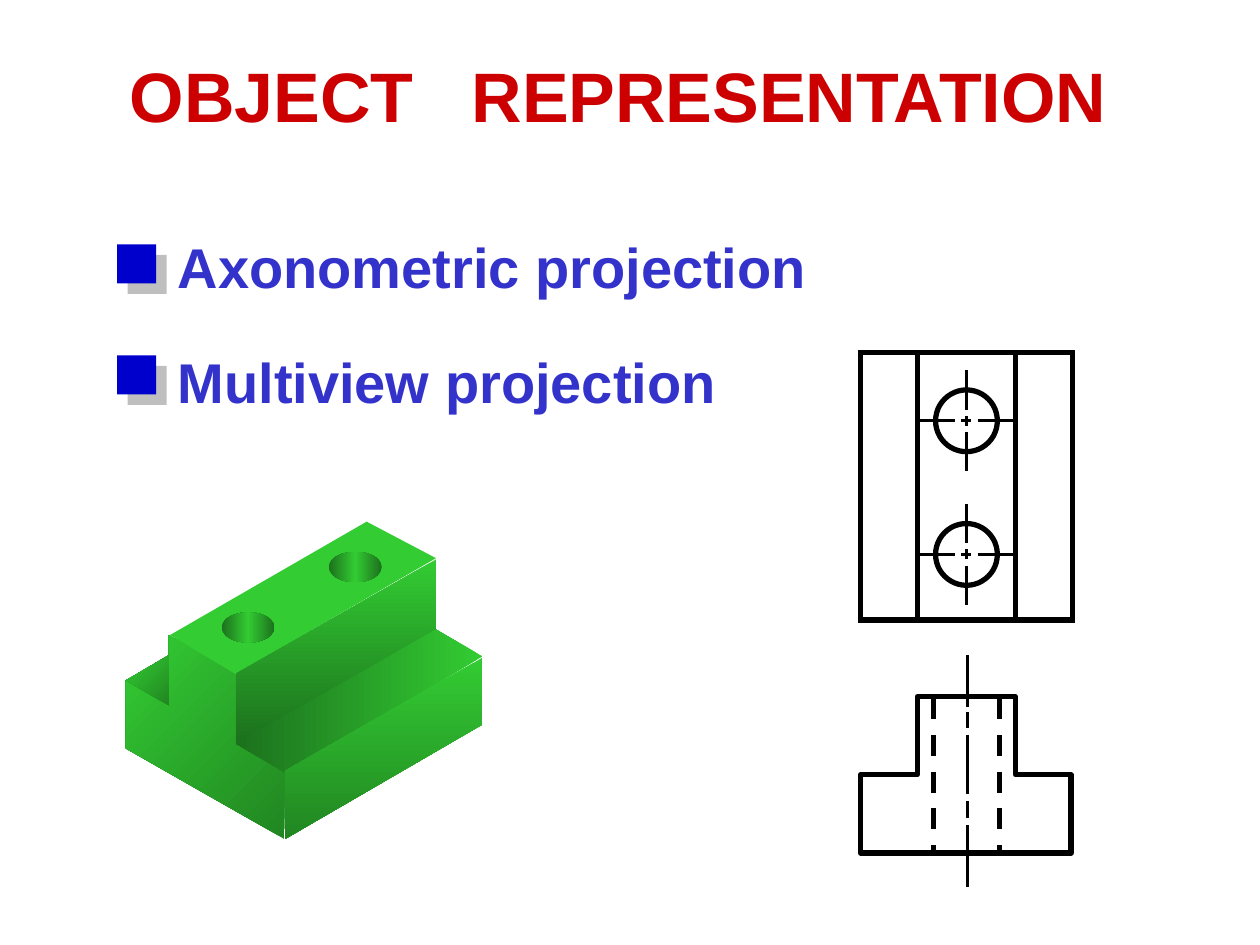
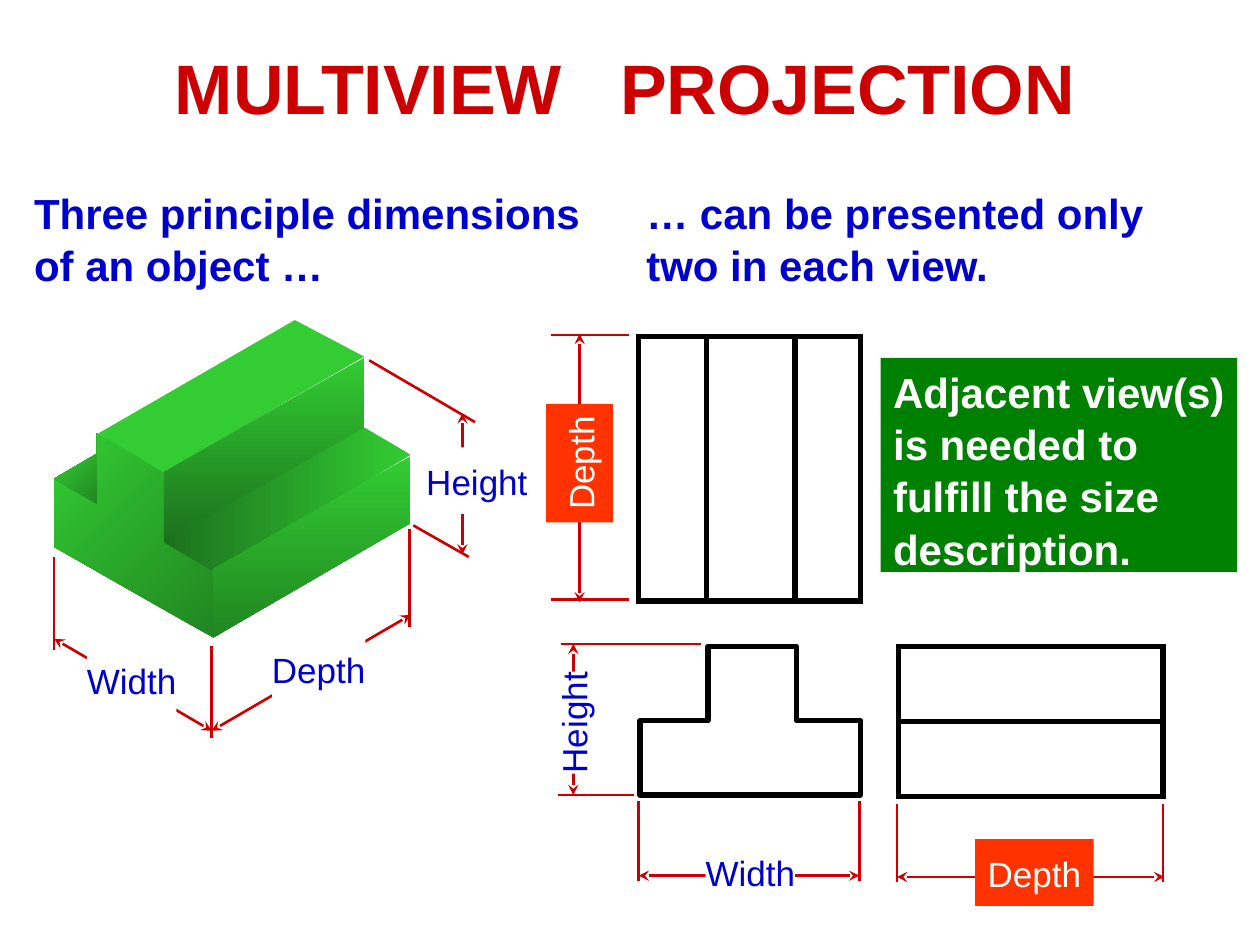
from copy import deepcopy

from lxml import etree
from pptx import Presentation
from pptx.dml.color import RGBColor
from pptx.enum.dml import MSO_LINE
from pptx.enum.shapes import MSO_CONNECTOR, MSO_SHAPE
from pptx.enum.text import MSO_ANCHOR, MSO_AUTO_SIZE, PP_ALIGN
from pptx.oxml.ns import qn
from pptx.util import Cm, Pt

RECT, OVAL = MSO_SHAPE.RECTANGLE, MSO_SHAPE.OVAL
STRAIGHT = MSO_CONNECTOR.STRAIGHT
DASH = MSO_LINE.DASH
LEFT, CENTER = PP_ALIGN.LEFT, PP_ALIGN.CENTER
TOP, MIDDLE = MSO_ANCHOR.TOP, MSO_ANCHOR.MIDDLE
NO_FIT = MSO_AUTO_SIZE.NONE

FONT = "Arial"
RED, BLUE, INDIGO = "CC0000", "0000CC", "3333CC"
BLACK, WHITE, ORANGE, DARK_GREEN = "000000", "FFFFFF", "FF3300", "008000"
LIGHT, SHADE, DEEP = "33CC33", "218621", "1C711C"
THICK, THIN = 3, 1.5
LINE_SPACING = 1.04


# Basic helpers: all coordinates are inches on a 10 x 7.5 grid
def inch(value):
    return Cm(value * 2.54)


def rgb(color):
    return RGBColor.from_string(color)


def move(sp, left, top, width, height):
    sp.left, sp.top = inch(left), inch(top)
    sp.width, sp.height = inch(width), inch(height)


def paint(sp, fill=None, angle=0):
    """Fill with nothing, one colour, or a gradient of several colours."""
    if fill is None:
        sp.fill.background()
    elif isinstance(fill, str):
        sp.fill.solid()
        sp.fill.fore_color.rgb = rgb(fill)
    else:
        sp.fill.gradient()
        sp.fill.gradient_angle = 360 - angle
        stops = sp._element.spPr.find(".//" + qn("a:gsLst"))
        while len(stops) < len(fill):
            stops.append(deepcopy(stops[0]))
        for i, stop in enumerate(stops):
            stop.set("pos", str(100000 * i // (len(fill) - 1)))
        for stop, color in zip(sp.fill.gradient_stops, fill):
            stop.color.rgb = rgb(color)


def finish(sp, fill=None, angle=0, outlined=False, join="round"):
    sp.shadow.inherit = False
    paint(sp, fill, angle)
    if outlined:
        sp.line.color.rgb = rgb(BLACK)
        sp.line.width = Pt(THICK)
        etree.SubElement(sp.line._get_or_add_ln(), qn("a:" + join))
    else:
        sp.line.fill.background()
    return sp


def add_preset(slide, kind, box, **style):
    sp = slide.shapes.add_shape(kind, *map(inch, box))
    return finish(sp, **style)


def add_polygon(slide, points, **style):
    points = [(inch(x), inch(y)) for x, y in points]
    builder = slide.shapes.build_freeform(*points[0], scale=1.0)
    builder.add_line_segments(points[1:], close=True)
    return finish(builder.convert_to_shape(), **style)


def add_line(slide, start, end, color=BLACK, width=THIN, dash=None, arrows=False):
    line = slide.shapes.add_connector(STRAIGHT, *map(inch, start + end))
    line.line.color.rgb = rgb(color)
    line.line.width = Pt(width)
    if dash:
        line.line.dash_style = dash
    if arrows:
        for tag in ("a:headEnd", "a:tailEnd"):
            etree.SubElement(line.line._get_or_add_ln(), qn(tag), type="stealth")
    etree.SubElement(line._element.spPr, qn("a:effectLst"))
    return line


# Text
def add_run(p, text, size, color, bold):
    r = p.add_run()
    r.text = text
    r.font.name, r.font.size, r.font.bold = FONT, Pt(size), bold
    r.font.color.rgb = rgb(color)
    return r


def start_paragraph(tf, first, align, gap=0):
    p = tf.paragraphs[0] if first else tf.add_paragraph()
    pPr = p._p.get_or_add_pPr()
    pPr.set("marL", "0")
    pPr.set("indent", "0")
    etree.SubElement(pPr, qn("a:buNone"))
    p.alignment, p.line_spacing = align, LINE_SPACING
    p.space_before = Pt(0 if first else gap)
    return p


def write(sp, paragraphs, size, color, bold=True, align=LEFT, gap=0,
          wrap=True, anchor=TOP, margins=(0.1, 0.05)):
    tf = sp.text_frame
    tf.auto_size, tf.word_wrap, tf.vertical_anchor = NO_FIT, wrap, anchor
    tf.margin_left = tf.margin_right = inch(margins[0])
    tf.margin_top = tf.margin_bottom = inch(margins[1])
    for i, text in enumerate(paragraphs):
        p = start_paragraph(tf, i == 0, align, gap)
        for j, line in enumerate(text.split("\n")):
            if j:
                p.add_line_break()
            add_run(p, line, size, color, bold)


def set_title(slide, first, second, box):
    """Two words parted by one widened space."""
    title = slide.shapes.title
    move(title, *box)
    tf = title.text_frame
    tf.auto_size, tf.vertical_anchor = NO_FIT, TOP
    p = start_paragraph(tf, True, CENTER)
    for text in (first, " ", second):
        r = add_run(p, text, 40, RED, True)
        if text == " ":
            r._r.get_or_add_rPr().set("spc", "2220")


# Solid block, seen at an angle
def draw_block(slide, left, top, holes=False):
    faces = [
        ([(0, 1.8), (0, 1.26), (0.34, 1.46), (0.34, 0.9), (0.87, 1.2),
          (0.87, 1.76), (1.26, 1.99), (1.26, 2.52)], (SHADE, LIGHT), 225),
        ([(0.35, 0.9), (1.91, 0), (2.46, 0.29), (0.87, 1.21)], LIGHT, 0),
        ([(1.26, 1.99), (0.87, 1.76), (2.45, 0.85), (2.83, 1.07)], (LIGHT, DEEP), 180),
        ([(2.46, 0.85), (2.46, 0.3), (0.87, 1.21), (0.87, 1.76)], (LIGHT, DEEP), 90),
        ([(1.26, 2.52), (1.26, 1.98), (2.83, 1.08), (2.83, 1.61)], (LIGHT, SHADE), 90),
        ([(0, 1.26), (0.34, 1.06), (0.34, 1.46)], (SHADE, LIGHT), 225),
    ]
    for points, fill, angle in faces:
        add_polygon(slide, [(left + x, top + y) for x, y in points],
                    fill=fill, angle=angle)
    if holes:
        for x, y in ((0.76, 0.72), (1.61, 0.24)):
            add_preset(slide, OVAL, (left + x, top + y, 0.42, 0.24),
                       fill=(DEEP, LIGHT, DEEP), angle=180)


# Flat views: ribs are the distances of the two rib edges from the left
def draw_top_view(slide, box, ribs):
    left, top, width, height = box
    add_preset(slide, RECT, box, outlined=True, join="miter")
    for rib in ribs:
        add_line(slide, (left + rib, top), (left + rib, top + height), width=THICK)


def draw_front_view(slide, box, ribs, shoulder):
    left, top, width, height = box
    x1, x2 = (left + rib for rib in ribs)
    right, bottom, middle = left + width, top + height, top + shoulder
    add_polygon(slide, [(left, bottom), (left, middle), (x1, middle), (x1, top),
                        (x2, top), (x2, middle), (right, middle), (right, bottom)],
                outlined=True)


def draw_side_view(slide, box):
    left, top, width, height = box
    sp = add_preset(slide, RECT, box, outlined=True, join="miter")
    middle = top + height / 2
    line = add_line(slide, (left, middle), (left + width, middle), width=THICK)
    line.begin_connect(sp, 1)
    line.end_connect(sp, 3)


def draw_hole(slide, x, y):
    """Circle with a centre cross and four centre-line arms."""
    d = 0.49
    add_preset(slide, OVAL, (x - d / 2, y - d / 2, d, d), outlined=True)
    spans = ((-0.04, 0.04), (0.09, 0.4), (-0.4, -0.09))
    for a, b in spans:
        add_line(slide, (x + a, y), (x + b, y))
        add_line(slide, (x, y + a), (x, y + b))


def draw_drilled_views(slide, left, top):
    ribs = (0.45, 1.23)
    draw_front_view(slide, (left, top + 2.73, 1.67, 1.24), ribs, 0.62)
    draw_top_view(slide, (left, top, 1.68, 2.12), ribs)
    for x in (0.58, 1.1):
        add_line(slide, (left + x, top + 2.74), (left + x, top + 3.98),
                 width=THICK, dash=DASH)
    axis = left + 0.85
    for y in (0.54, 1.6):
        draw_hole(slide, axis - 0.01, top + y)
    for a, b in ((2.4, 2.81), (2.85, 2.98), (3.03, 3.5), (3.56, 3.69), (3.75, 4.24)):
        add_line(slide, (axis, top + a), (axis, top + b))


# Dimension: extension lines, double arrow and a label over its middle
def draw_dimension(slide, text, extensions, start, end, box,
                   marked=False, upright=False):
    for a, b in extensions:
        add_line(slide, a, b, color=RED)
    add_line(slide, start, end, color=RED, arrows=True)
    label = add_preset(slide, RECT, box, fill=ORANGE if marked else WHITE)
    label.rotation = 270 if upright else 0
    write(label, [text], 20, WHITE if marked else BLUE, bold=False, align=CENTER,
          wrap=False, anchor=MIDDLE, margins=(0.1 if marked else 0, 0.1))


def add_marker(slide, left, top):
    sp = add_preset(slide, RECT, (left, top, 0.31, 0.31), fill=BLUE)
    effects = sp._element.spPr.find(qn("a:effectLst"))
    shadow = etree.SubElement(effects, qn("a:outerShdw"), blurRad="0",
                              dist=str(Pt(8.5)), dir=str(45 * 60000),
                              algn="ctr", rotWithShape="0")
    color = etree.SubElement(shadow, qn("a:srgbClr"), val="808080")
    etree.SubElement(color, qn("a:alpha"), val="50000")


# Slides
def build_representation(prs):
    slide = prs.slides.add_slide(prs.slide_layouts[1])
    set_title(slide, "OBJECT", "REPRESENTATION", (0.05, 0.34, 9.71, 0.77))
    body = slide.placeholders[1]
    move(body, 1.31, 1.77, 5.4, 1.53)
    write(body, ["Axonometric projection", "Multiview projection"],
          32, INDIGO, gap=26)
    for i in range(2):
        add_marker(slide, 0.93, 1.94 + 0.88 * i)
    draw_block(slide, 1, 4.14, holes=True)
    draw_drilled_views(slide, 6.83, 2.8)


def build_multiview(prs):
    slide = prs.slides.add_slide(prs.slide_layouts[3])
    set_title(slide, "MULTIVIEW", "PROJECTION", (0.5, 0.28, 8.92, 0.77))
    columns = [
        (0.17, 4.7, ["Three principle dimensions", "of an object …"]),
        (5.03, 4.3, ["… can be presented only", "two in each view."]),
    ]
    for i, (left, width, lines) in enumerate(columns, 1):
        body = slide.placeholders[i]
        move(body, left, 1.42, width, 0.9)
        write(body, lines, 24, BLUE)

    # Dimensions of the solid
    draw_block(slide, 0.43, 2.54)
    draw_dimension(slide, "Width",
                   [((0.43, 4.42), (0.43, 5.16)), ((1.68, 5.13), (1.68, 5.86))],
                   (0.43, 5.07), (1.68, 5.8), (0.69, 5.13, 0.71, 0.53))
    draw_dimension(slide, "Depth", [((3.25, 4.2), (3.25, 4.98))],
                   (1.68, 5.8), (3.26, 4.88), (2.16, 5.04, 0.74, 0.53))
    draw_dimension(slide, "Height",
                   [((3.28, 4.17), (3.72, 4.42)), ((2.93, 2.86), (3.77, 3.35))],
                   (3.67, 4.4), (3.67, 3.28), (3.38, 3.55, 0.81, 0.53))

    # Dimensions of the views
    draw_dimension(slide, "Width", [((x, 6.36), (x, 6.99)) for x in (5.07, 6.82)],
                   (5.07, 6.95), (6.82, 6.95), (5.6, 6.65, 0.71, 0.53))
    draw_dimension(slide, "Height",
                   [((4.45, 5.11), (5.56, 5.11)), ((4.43, 6.31), (5.03, 6.31))],
                   (4.55, 5.11), (4.55, 6.31), (4.14, 5.47, 0.81, 0.53), upright=True)
    draw_dimension(slide, "Depth", [((x, 6.38), (x, 7)) for x in (7.12, 9.23)],
                   (7.12, 6.96), (9.24, 6.96), (7.74, 6.66, 0.94, 0.53), marked=True)
    ribs = (0.54, 1.24)
    draw_front_view(slide, (5.08, 5.13, 1.75, 1.18), ribs, 0.59)
    draw_side_view(slide, (7.13, 5.13, 2.1, 1.19))
    draw_top_view(slide, (5.07, 2.67, 1.76, 2.1), ribs)
    draw_dimension(slide, "Depth", [((4.37, y), (4.99, y)) for y in (4.76, 2.66)],
                   (4.6, 4.78), (4.6, 2.65), (4.13, 3.41, 0.94, 0.53),
                   marked=True, upright=True)

    # Conclusion
    note = add_preset(slide, RECT, (6.99, 2.84, 2.83, 1.7), fill=DARK_GREEN)
    write(note, ["Adjacent view(s)", "is needed to\nfulfill the size", "description."],
          24, WHITE, wrap=False)


def main():
    prs = Presentation()
    prs.slide_width, prs.slide_height = inch(10), inch(7.5)
    build_representation(prs)
    build_multiview(prs)
    prs.save("out.pptx")


if __name__ == "__main__":
    main()
